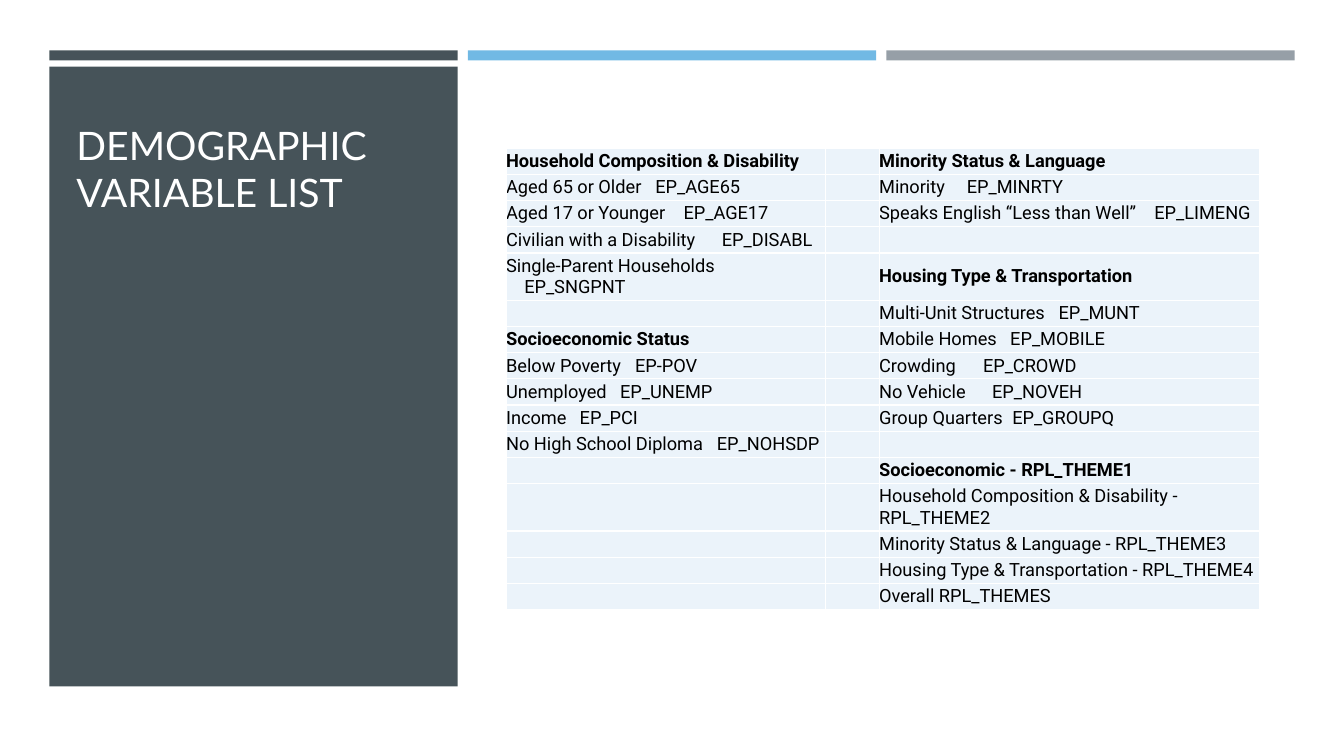
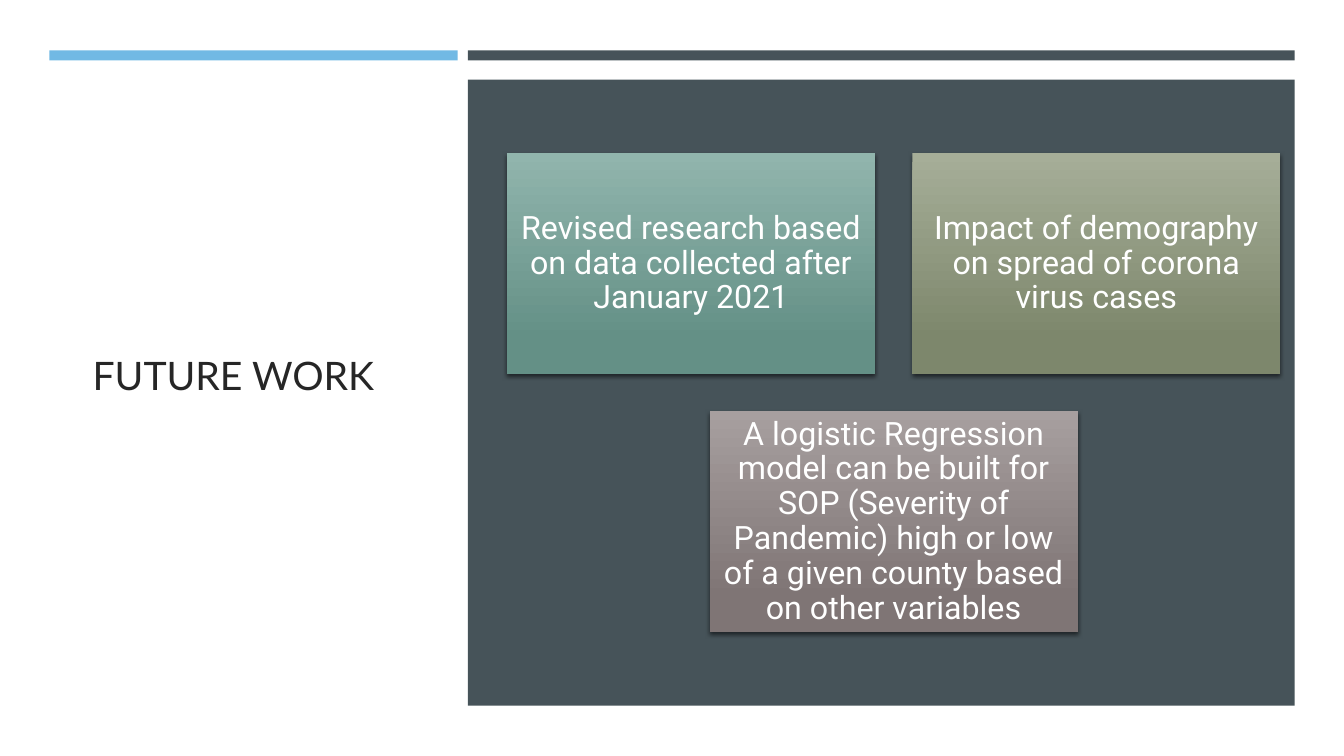
from pptx import Presentation
from pptx.dml.color import RGBColor
from pptx.enum import shapes, text
from pptx.oxml.ns import qn
from pptx.util import Inches, Pt
from lxml import etree

SLATE = RGBColor(0x46, 0x53, 0x59)
SKY = RGBColor(0x71, 0xB9, 0xE4)
GREY = RGBColor(0x96, 0x9F, 0xA7)
PALE = RGBColor(0xEB, 0xF3, 0xFA)
WHITE = RGBColor(0xFF, 0xFF, 0xFF)
BLACK = RGBColor(0, 0, 0)
INK = RGBColor(0x26, 0x26, 0x26)
HEAD, BODY = "Lato", "Roboto"
MID, LOW = text.MSO_ANCHOR.MIDDLE, text.MSO_ANCHOR.BOTTOM

# Content: a string is a heading or plain line, a tuple is (label, code, tab stop)
HEADS = {"Household Composition & Disability", "Minority Status & Language",
         "Housing Type & Transportation", "Socioeconomic Status",
         "Socioeconomic - RPL_THEME1"}
LEFT = [
    "Household Composition & Disability",
    ("Aged 65 or Older", "EP_AGE65", 1.48),
    ("Aged 17 or Younger", "EP_AGE17", 1.76),
    ("Civilian with a Disability", "EP_DISABL", 2.14),
    ("Single-Parent Households\v", "EP_SNGPNT", 0.18),
    "",
    "Socioeconomic Status",
    ("Below Poverty", "EP-POV", 1.28),
    ("Unemployed", "EP_UNEMP", 1.13),
    ("Income", "EP_PCI", 0.73),
    ("No High School Diploma", "EP_NOHSDP", 2.09),
    "", "", "", "", "",
]
RIGHT = [
    "Minority Status & Language",
    ("Minority", "EP_MINRTY", 0.87),
    ("Speaks English “Less than Well”", "EP_LIMENG", 2.73),
    "",
    "Housing Type & Transportation",
    ("Multi-Unit Structures", "EP_MUNT", 1.78),
    ("Mobile Homes", "EP_MOBILE", 1.3),
    ("Crowding", "EP_CROWD", 1.03),
    ("No Vehicle", "EP_NOVEH", 1.12),
    ("Group Quarters", "EP_GROUPQ", 1.32),
    "",
    "Socioeconomic - RPL_THEME1",
    "Household Composition & Disability - RPL_THEME2",
    "Minority Status & Language - RPL_THEME3",
    "Housing Type & Transportation - RPL_THEME4",
    "Overall RPL_THEMES",
]
WIDTHS = [3.17, 0.53, 3.77]
TALL = {4, 12}
CARDS = [
    ("Revised research based on data collected after January 2021",
     "91B5AD", "649086"),
    ("Impact of demography on spread of corona virus cases",
     "A6AE98", "7D876C"),
    ("A logistic Regression model can be built for SOP (Severity of Pandemic) "
     "high or low of a given county based on other variables",
     "A79F9F", "7F7575"),
]

# Shared band grid
EDGE, TOP, THIN, COL, STEP = 0.49, 0.5, 0.1, 4.05, 4.15


def style(font, **kinds):
    for key, val in kinds.items():
        if key == "color":
            font.color.rgb = val
        else:
            setattr(font, key, val)


def child(node, tag, **attrs):
    return etree.SubElement(node, qn(tag), {k: str(v) for k, v in attrs.items()})


def page():
    slide = deck.slides.add_slide(deck.slide_layouts[6])
    slide.background.fill.solid()
    slide.background.fill.fore_color.rgb = WHITE
    return slide


def block(slide, box, color=None):
    rect = slide.shapes.add_shape(shapes.MSO_SHAPE.RECTANGLE, *map(Inches, box))
    rect.shadow.inherit = False
    rect.line.fill.background()
    if color is not None:
        rect.fill.solid()
        rect.fill.fore_color.rgb = color
    return rect


def bands(slide, parts):
    """Draw top bands; each part is (colour, columns spanned)."""
    col = 0
    for color, span in parts:
        wide = COL + (span - 1) * STEP
        block(slide, (EDGE + col * STEP, TOP, wide, THIN), color)
        col += span


def title(slide, words, box, color, anchor):
    frame = slide.shapes.add_textbox(*map(Inches, box)).text_frame
    frame.word_wrap = True
    frame.vertical_anchor = anchor
    run = frame.paragraphs[0].add_run()
    run.text = words
    style(run.font, name=HEAD, size=Pt(28), color=color)


def fill_cell(cell, item):
    for side in ("left", "right", "top", "bottom"):
        setattr(cell, "margin_" + side, 0)
    cell.vertical_anchor = MID
    # Borders come before the fill
    props = cell._tc.get_or_add_tcPr()
    for tag in ("a:lnL", "a:lnR", "a:lnT", "a:lnB"):
        line = child(props, tag, w=Pt(1))
        child(child(line, "a:solidFill"), "a:srgbClr", val=WHITE)
    cell.fill.solid()
    cell.fill.fore_color.rgb = PALE

    para = cell.text_frame.paragraphs[0]
    if isinstance(item, tuple):
        label, code, stop = item
        tabs = child(para._p.get_or_add_pPr(), "a:tabLst")
        child(tabs, "a:tab", pos=Inches(stop), algn="l")
        para.text = f"{label}\t{code}"
    elif item:
        para.text = item
    for run in para.runs:
        style(run.font, name=BODY, size=Pt(13), color=BLACK, bold=item in HEADS)
    child(para._p, "a:endParaRPr", sz=1300)


def card(slide, box, words, light, dark):
    rect = block(slide, box)
    rect.fill.gradient()
    rect.fill.gradient_angle = 270
    for stop, tone, pos in zip(rect.fill.gradient_stops, (light, dark), (0, 0.84)):
        stop.color.rgb = RGBColor.from_string(tone)
        stop.position = pos
    glow = child(rect._element.spPr.find(qn("a:effectLst")), "a:outerShdw",
                 blurRad=Pt(3), dist=Pt(2), dir=5400000, rotWithShape=0)
    child(child(glow, "a:srgbClr", val=BLACK), "a:alpha", val=55000)

    frame = rect.text_frame
    frame.word_wrap = True
    frame.vertical_anchor = MID
    for side in ("left", "right", "top", "bottom"):
        setattr(frame, "margin_" + side, Inches(0.1))
    para = frame.paragraphs[0]
    para.alignment = text.PP_ALIGN.CENTER
    para.line_spacing = 0.9
    run = para.add_run()
    run.text = words
    style(run.font, name=BODY, size=Pt(23), color=WHITE)


def variables():
    slide = page()
    bands(slide, [(SLATE, 1), (SKY, 1), (GREY, 1)])
    block(slide, (EDGE, 0.66, COL, 6.15), SLATE)
    title(slide, "DEMOGRAPHIC VARIABLE LIST", (0.66, 0.77, 3.73, 1.42), WHITE, LOW)
    highs = [0.47 if i in TALL else 0.26 for i in range(len(LEFT))]
    box = (5.02, 1.47, sum(WIDTHS), sum(highs))
    grid = slide.shapes.add_table(len(LEFT), len(WIDTHS), *map(Inches, box)).table
    grid.first_row = grid.horz_banding = False
    for col, wide in zip(grid.columns, WIDTHS):
        col.width = Inches(wide)
    for row, high, left, right in zip(grid.rows, highs, LEFT, RIGHT):
        row.height = Inches(high)
        for cell, item in zip(row.cells, (left, "", right)):
            fill_cell(cell, item)


def future():
    slide = page()
    title(slide, "FUTURE WORK", (0.82, 1.14, 3.34, 5.15), INK, MID)
    bands(slide, [(SKY, 1), (SLATE, 2)])
    block(slide, (EDGE + STEP, 0.79, COL + STEP, 6.21), SLATE)
    # Two cards above, the last one centred below
    wide, high, gap, x, y = 3.65, 2.19, 0.37, 5.03, 1.52
    for i, (words, light, dark) in enumerate(CARDS):
        row, col = divmod(i, 2)
        left = x + (col + row / 2) * (wide + gap)
        card(slide, (left, y + row * (high + gap), wide, high), words, light, dark)


deck = Presentation()
deck.slide_width, deck.slide_height = Inches(13.33), Inches(7.5)
variables()
future()
deck.save("out.pptx")
